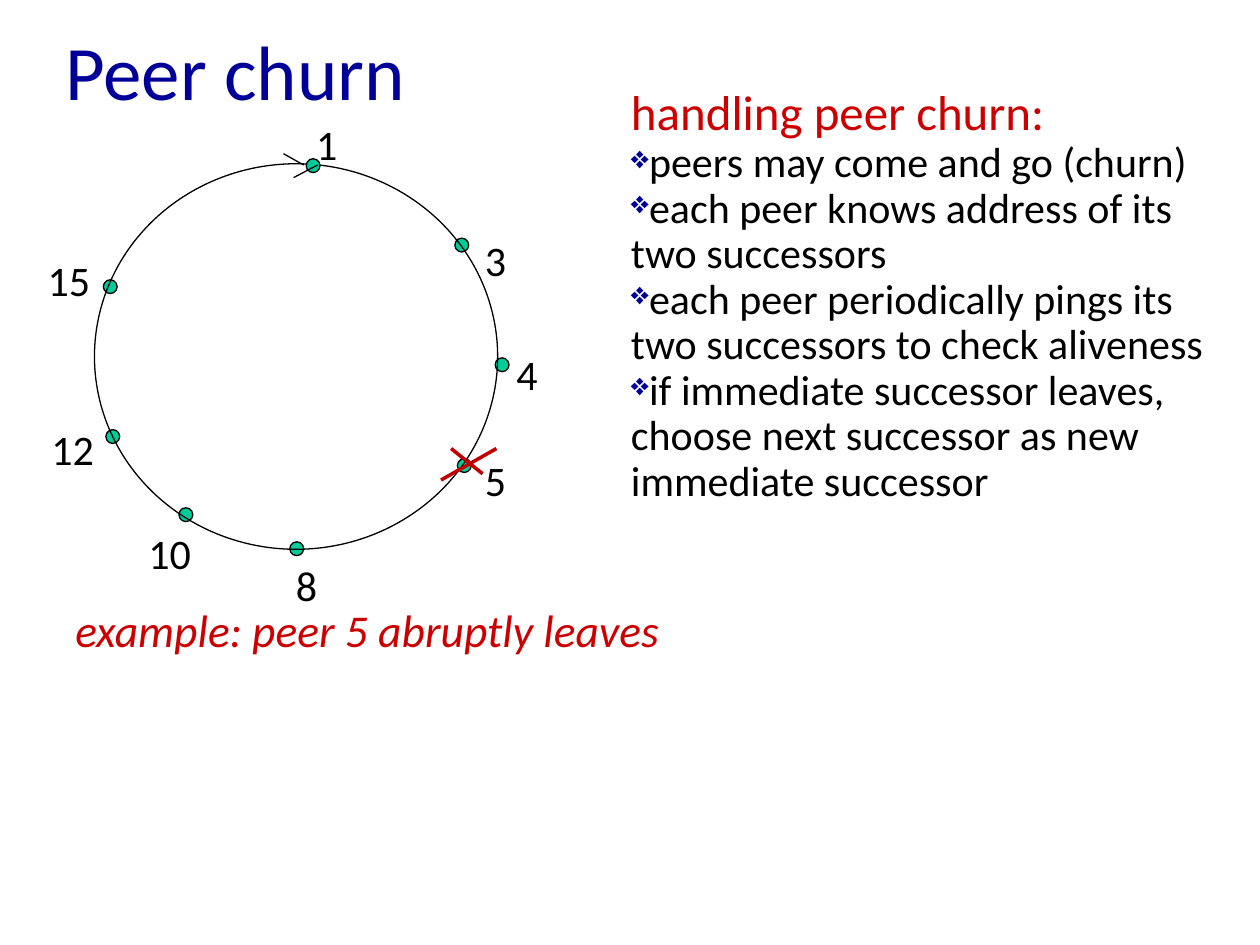
from dataclasses import dataclass

from lxml import etree
from pptx import Presentation
from pptx import util as u
from pptx.dml.color import RGBColor
from pptx.enum import shapes, text
from pptx.oxml import ns

FONT = "Calibri"
NAVY = RGBColor(0x00, 0x00, 0x99)
RED = RGBColor(0xCC, 0x00, 0x00)
DARK = RGBColor(0xC0, 0x00, 0x00)
GREEN = RGBColor(0x00, 0xCC, 0x99)
BLACK = RGBColor(0x00, 0x00, 0x00)
DOT = 0.11


@dataclass
class Peer:
    name: str
    dot: tuple[float, float]
    tag: tuple[float, float]


@dataclass
class Line:
    start: tuple[float, float]
    end: tuple[float, float]
    color: RGBColor
    width: float


PEERS = [
    Peer("3", (3.61, 1.89), (3.75, 1.81)),
    Peer("4", (3.93, 2.84), (4, 2.72)),
    Peer("5", (3.63, 3.64), (3.75, 3.56)),
    Peer("8", (2.3, 4.3), (2.25, 4.39)),
    Peer("10", (1.42, 4.03), (1.08, 4.14)),
    Peer("12", (0.84, 3.41), (0.31, 3.31)),
    Peer("15", (0.82, 2.22), (0.28, 1.97)),
    Peer("1", (2.43, 1.26), (2.41, 0.89)),
]
LINES = [
    Line((2.25, 1.22), (2.41, 1.31), BLACK, 0.75),
    Line((2.52, 1.31), (2.33, 1.41), BLACK, 0.75),
    Line((3.58, 3.56), (3.83, 3.76), DARK, 2),
    Line((3.94, 3.56), (3.5, 3.81), DARK, 2),
]
POINTS = [
    ["peers may come and go (churn)"],
    ["each peer knows address of its two successors"],
    ["each peer periodically pings its ", "two successors to check aliveness"],
    ["if immediate successor leaves, choose next successor as new immediate successor"],
]


def add_run(para, words: str, size: float, color: RGBColor, slant: bool = False) -> None:
    run = para.add_run()
    run.text = words
    run.font.name = FONT
    run.font.size = u.Pt(size)
    run.font.color.rgb = color
    if slant:
        run.font.italic = True


def add_box(host, left: float, top: float, width: float, height: float, wrap: bool = True):
    box = host.add_textbox(u.Inches(left), u.Inches(top), u.Inches(width), u.Inches(height))
    box.text_frame.word_wrap = wrap
    return box.text_frame


def add_oval(host, left: float, top: float, width: float, height: float,
             fill: RGBColor | None = None) -> None:
    oval = host.add_shape(shapes.MSO_SHAPE.OVAL, u.Inches(left), u.Inches(top),
                          u.Inches(width), u.Inches(height))
    oval.shadow.inherit = False
    if fill is None:
        oval.fill.background()
    else:
        oval.fill.solid()
        oval.fill.fore_color.rgb = fill
    oval.line.color.rgb = BLACK
    oval.line.width = u.Pt(0.75)


def add_dot(host, peer: Peer) -> None:
    add_oval(host, *peer.dot, DOT, DOT, GREEN)


def add_tag(host, peer: Peer) -> None:
    width = 0.39 if len(peer.name) == 1 else 0.58
    frame = add_box(host, *peer.tag, width, 0.5, wrap=False)
    add_run(frame.paragraphs[0], peer.name, 24, BLACK)


def add_line(host, line: Line) -> None:
    ends = [u.Inches(n) for n in (*line.start, *line.end)]
    link = host.add_connector(shapes.MSO_CONNECTOR.STRAIGHT, *ends)
    link.line.color.rgb = line.color
    link.line.width = u.Pt(line.width)
    etree.SubElement(link._element.spPr, ns.qn("a:effectLst"))


def add_point(frame, parts: list[str]) -> None:
    para = frame.add_paragraph()
    para.line_spacing = u.Pt(26)
    props = para._p.get_or_add_pPr()
    tint = etree.SubElement(props, ns.qn("a:buClr"))
    etree.SubElement(tint, ns.qn("a:srgbClr"), val=str(NAVY))
    etree.SubElement(props, ns.qn("a:buSzPct"), val="75000")
    etree.SubElement(props, ns.qn("a:buChar"), char="❖")
    for spot, part in enumerate(parts):
        if spot:
            para.add_line_break()
        add_run(para, part, 24, BLACK)


def main() -> None:
    deck = Presentation()
    deck.slide_width, deck.slide_height = u.Inches(10), u.Inches(7.5)
    slide = deck.slides.add_slide(deck.slide_layouts[6])
    host = slide.shapes

    title = add_box(host, 0.42, 0, 9, 1.11)
    title.vertical_anchor = text.MSO_ANCHOR.MIDDLE
    add_run(title.paragraphs[0], "Peer churn", 44, NAVY)

    note = add_box(host, 0.5, 4.78, 9, 2.33).paragraphs[0]
    note.line_spacing = 0.9
    add_run(note, "example: peer 5 abruptly leaves", 26, RED, slant=True)

    ring = host.add_group_shape().shapes
    *rest, first = PEERS
    for peer in rest:
        add_dot(ring, peer)
    add_oval(ring, 0.75, 1.3, 3.2, 3.06)
    for peer in PEERS:
        add_tag(ring, peer)
    add_dot(ring, first)

    for line in LINES:
        add_line(host, line)

    frame = add_box(host, 4.91, 0.6, 4.84, 4.66)
    add_run(frame.paragraphs[0], "handling peer churn:", 28, RED)
    for parts in POINTS:
        add_point(frame, parts)

    deck.save("out.pptx")


if __name__ == "__main__":
    main()
